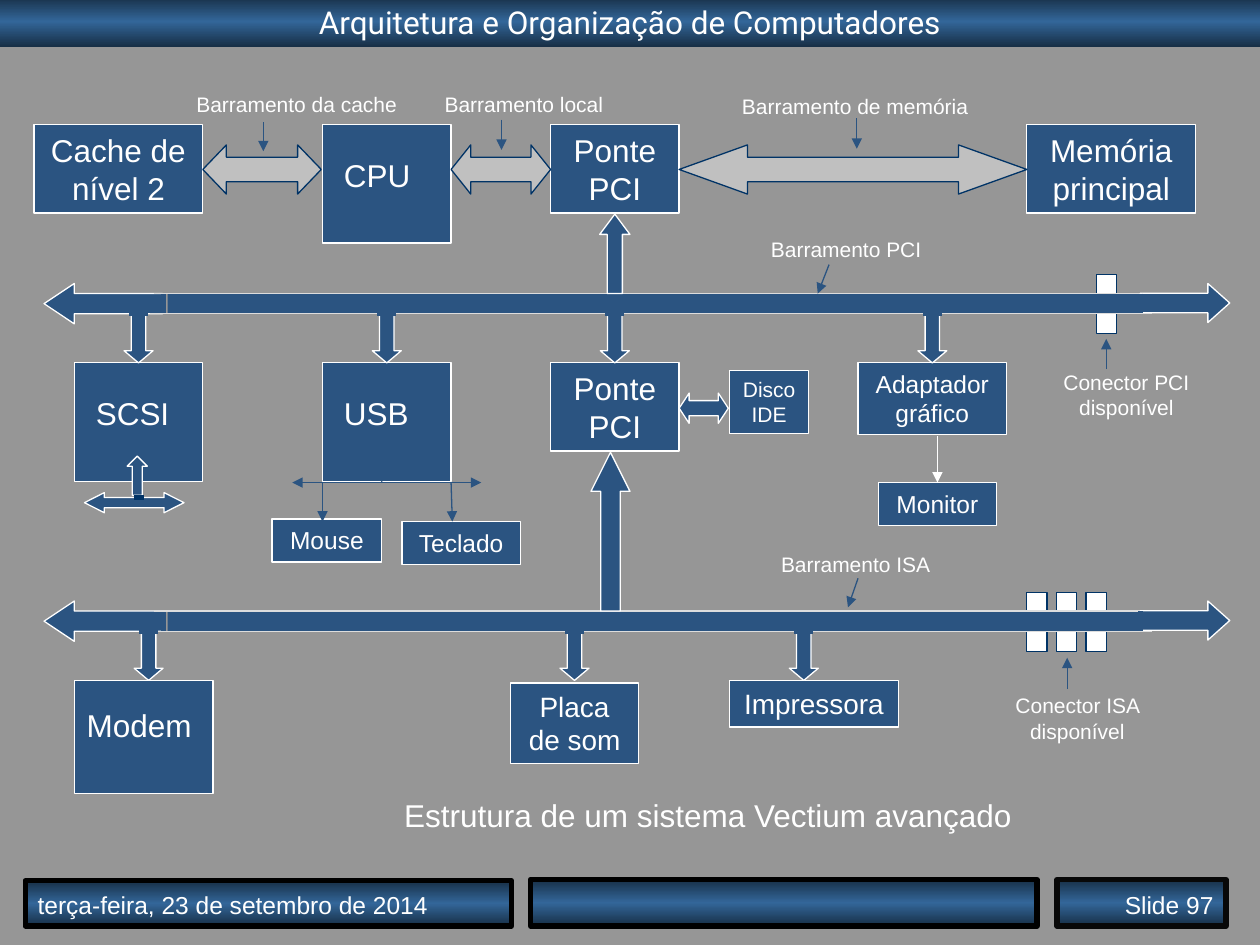
from copy import deepcopy

from lxml import etree
from pptx import Presentation
from pptx.dml.color import RGBColor
from pptx.enum import shapes as sh, text as tx
from pptx.oxml.ns import qn
from pptx.util import Inches, Pt

BLUE, NAVY, SILVER, WHITE, BLACK = "2B5481", "003366", "C0C0C0", "FFFFFF", "000000"
EDGE, GLOW, PALE, GRAY = "172F46", "336699", "DDDDDD", "969696"
KIND = sh.MSO_SHAPE
LEFT, CENTER, RIGHT = tx.PP_ALIGN.LEFT, tx.PP_ALIGN.CENTER, tx.PP_ALIGN.RIGHT
TOP, MIDDLE, BOTTOM = tx.MSO_ANCHOR.TOP, tx.MSO_ANCHOR.MIDDLE, tx.MSO_ANCHOR.BOTTOM

# Content
TITLE = "Arquitetura e Organização de Computadores"
FOOTERS = [  # left, top, width, height, text, alignment, border
    (0.2, 6.99, 3.86, 0.36, "terça-feira, 23 de setembro de 2014", LEFT, BLACK),
    (4.21, 6.98, 4.02, 0.37, "", LEFT, BLACK),
    (8.39, 6.98, 1.34, 0.37, "Slide 97", RIGHT, "080808"),
]
BOXES = [  # left, top, width, height, text, size
    (0.27, 0.99, 1.34, 0.7, "Cache de nível 2", 18),
    (4.37, 0.99, 1.02, 0.7, "Ponte PCI", 18),
    (8.15, 0.99, 1.34, 0.7, "Memória principal", 18),
    (4.37, 2.88, 1.02, 0.7, "Ponte PCI", 18),
    (5.79, 2.94, 0.63, 0.5, "Disco IDE", 12),
    (2.16, 4.12, 0.87, 0.34, "Mouse", 14),
    (3.19, 4.14, 0.94, 0.34, "Teclado", 14),
    (6.81, 2.88, 1.18, 0.57, "Adaptador gráfico", 14),
    (6.97, 3.83, 0.94, 0.34, "Monitor", 14),
    (4.05, 5.42, 1.02, 0.64, "Placa de som", 16),
    (5.79, 5.4, 1.34, 0.37, "Impressora", 16),
]
TALL_BOXES = [  # left, top, width, height, text, text indent, text drop
    (2.56, 0.99, 1.02, 0.94, "CPU", 0.17, 0.25),
    (0.59, 2.88, 1.02, 0.94, "SCSI", 0.17, 0.25),
    (2.56, 2.88, 1.02, 0.94, "USB", 0.17, 0.25),
    (0.59, 5.4, 1.1, 0.9, "Modem", 0.1, 0.2),
]
BUSES = [  # top, centres of the downward taps
    (2.33, [1.1, 3.07, 4.88, 7.4]),
    (4.85, [1.18, 4.56, 6.38]),
]
SLOTS = [(8.7, 2.18)] + [(8.15 + 0.235 * i, 4.7) for i in range(3)]
LINKS = [  # kind, left, top, width, height, head ratio, fill, line
    (KIND.LEFT_RIGHT_ARROW, 1.61, 1.15, 0.94, 0.39, 0.48, SILVER, NAVY),
    (KIND.LEFT_RIGHT_ARROW, 3.58, 1.15, 0.79, 0.39, 0.4, SILVER, NAVY),
    (KIND.LEFT_RIGHT_ARROW, 5.39, 1.15, 2.76, 0.39, 1.39, SILVER, NAVY),
    (KIND.LEFT_RIGHT_ARROW, 5.39, 3.12, 0.39, 0.24, 0.33, BLUE, WHITE),
    (KIND.LEFT_RIGHT_ARROW, 0.67, 3.91, 0.79, 0.16, 0.99, BLUE, WHITE),
    (KIND.UP_ARROW, 1.01, 3.62, 0.16, 0.31, 0.5, BLUE, WHITE),
    (KIND.UP_ARROW, 4.76, 1.7, 0.24, 0.63, 0.67, BLUE, WHITE),
    (KIND.UP_ARROW, 4.69, 3.59, 0.31, 1.26, 1.0, BLUE, WHITE),
]
LABELS = [  # left, top, width, height, text, size, alignment
    (1.46, 0.68, 1.81, 0.3, "Barramento da cache", 12, LEFT),
    (3.43, 0.68, 1.81, 0.3, "Barramento local", 12, LEFT),
    (5.79, 0.69, 2.05, 0.3, "Barramento de memória", 12, LEFT),
    (6.02, 1.83, 1.42, 0.3, "Barramento PCI", 12, LEFT),
    (8.23, 2.88, 1.42, 0.5, "Conector PCI disponível", 12, CENTER),
    (7.84, 5.45, 1.42, 0.5, "Conector ISA disponível", 12, CENTER),
    (6.1, 4.33, 1.42, 0.3, "Barramento ISA", 12, LEFT),
    (3.11, 6.27, 5.28, 0.4, "Estrutura de um sistema Vectium avançado", 18, LEFT),
]
POINTERS = [  # from x, from y, to x, to y
    (2.09, 0.97, 2.09, 1.2), (3.98, 0.95, 3.98, 1.19), (6.8, 0.94, 6.8, 1.18),
    (6.58, 2.1, 6.49, 2.33), (8.78, 2.93, 8.78, 2.69), (8.47, 5.47, 8.47, 5.22),
    (6.81, 4.59, 6.73, 4.82),
    (3.03, 3.59, 3.03, 3.83), (2.56, 3.83, 2.56, 4.14), (3.58, 3.83, 3.59, 4.14),
]

prs = Presentation()
prs.slide_width, prs.slide_height = Inches(10), Inches(7.5)
slide = prs.slides.add_slide(prs.slide_layouts[5])


def rgb(value):
    return RGBColor.from_string(value)


def paint(shape, fill, line=None, width=0.75):
    shape.fill.solid()
    shape.fill.fore_color.rgb = rgb(fill)
    outline(shape, line, width)


def outline(shape, line, width):
    if line:
        shape.line.color.rgb = rgb(line)
        shape.line.width = Pt(width)
    else:
        shape.line.fill.background()


def glow(shape):
    """Vertical gradient, dark at both edges."""
    shape.fill.gradient()
    shape.fill.gradient_angle = 90
    first, middle = shape.fill.gradient_stops
    first.color.rgb, middle.color.rgb = rgb(EDGE), rgb(GLOW)
    middle.position = 0.5
    stops = shape._element.spPr.find(".//" + qn("a:gsLst"))
    last = deepcopy(stops[0])
    last.set("pos", "100000")
    stops.append(last)


def write(shape, words, size, align=CENTER, anchor=TOP, font="Arial", left=0.1, top=0.05):
    frame = shape.text_frame
    frame.word_wrap = True
    frame.auto_size = tx.MSO_AUTO_SIZE.NONE
    frame.vertical_anchor = anchor
    frame.margin_left, frame.margin_top = Inches(left), Inches(top)
    frame.margin_right, frame.margin_bottom = Inches(0.1), Inches(0.05)
    frame.text = words
    paragraph = frame.paragraphs[0]
    paragraph.alignment = align
    paragraph.font.name, paragraph.font.size = font, Pt(size)
    paragraph.font.color.rgb = rgb(WHITE)


def block(kind, *place):
    shape = slide.shapes.add_shape(kind, *map(Inches, place))
    shape.shadow.inherit = False
    return shape


def arrow(kind, left, top, width, height, head, fill=BLUE, line=WHITE):
    shape = block(kind, left, top, width, height)
    shape.adjustments[0], shape.adjustments[1] = 0.5, head
    paint(shape, fill, line)


def stroke(points, color=BLUE, width=0.75, ends=()):
    line = slide.shapes.add_connector(sh.MSO_CONNECTOR.STRAIGHT, *map(Inches, points))
    line.line.color.rgb = rgb(color)
    line.line.width = Pt(width)
    for end in ends:
        etree.SubElement(line.line._get_or_add_ln(), qn("a:" + end), type="triangle")
    etree.SubElement(line._element.spPr, qn("a:effectLst"))
    return line


def bus(top, taps):
    bottom = top + 0.16
    paint(block(KIND.RECTANGLE, 1.33, top, 7.72, 0.16), BLUE)
    arrow(KIND.LEFT_ARROW, 0.35, top - 0.08, 0.94, 0.32, 0.75)
    stroke((1.3, top, 1.3, bottom), width=3)
    stroke((1.22, top, 9.17, top), PALE)
    arrow(KIND.RIGHT_ARROW, 9.05, top - 0.08, 0.71, 0.31, 0.56)
    stroke((9.05, top, 9.05, bottom), width=3)
    stroke((1.19, bottom, 9.14, bottom), PALE)
    for x in taps:
        arrow(KIND.DOWN_ARROW, x - 0.115, bottom, 0.23, 0.39, 0.42)
        stroke((x - 0.075, bottom, x + 0.075, bottom), width=3)


# Background, title band and footer
slide.background.fill.solid()
slide.background.fill.fore_color.rgb = rgb(GRAY)
title = slide.shapes.title
title.left, title.top, title.width, title.height = map(Inches, (0, -0.03, 10, 0.4))
glow(title)
write(title, TITLE, 18, anchor=MIDDLE, font="Roboto")
for *place, words, align, border in FOOTERS:
    footer = block(KIND.RECTANGLE, *place)
    glow(footer)
    outline(footer, border, 3)
    if words:
        write(footer, words, 14, align, BOTTOM)

# Slots sit behind the buses
for left, top in SLOTS:
    paint(block(KIND.RECTANGLE, left, top, 0.16, 0.47), WHITE, NAVY)

# Components
components = {}
for *place, words, size in BOXES:
    components[words] = block(KIND.RECTANGLE, *place)
    paint(components[words], BLUE, WHITE)
    write(components[words], words, size)
for *place, words, indent, drop in TALL_BOXES:
    tall = block(KIND.RECTANGLE, *place)
    paint(tall, BLUE, WHITE)
    write(tall, words, 18, LEFT, left=indent, top=drop)

# Buses, links and pointers
for top, taps in BUSES:
    bus(top, taps)
for link in LINKS:
    arrow(*link)
stroke((1.06, 3.95, 1.14, 3.95), NAVY, 3)
stroke((2.32, 3.83, 3.82, 3.83), ends=("headEnd", "tailEnd"))
for points in POINTERS:
    stroke(points, ends=("tailEnd",))
video = stroke((7.44, 3.46, 7.44, 3.83), WHITE, ends=("tailEnd",))
video.end_connect(components["Monitor"], 0)

# Labels and caption
for *place, words, size, align in LABELS:
    write(slide.shapes.add_textbox(*map(Inches, place)), words, size, align)

prs.save("out.pptx")
